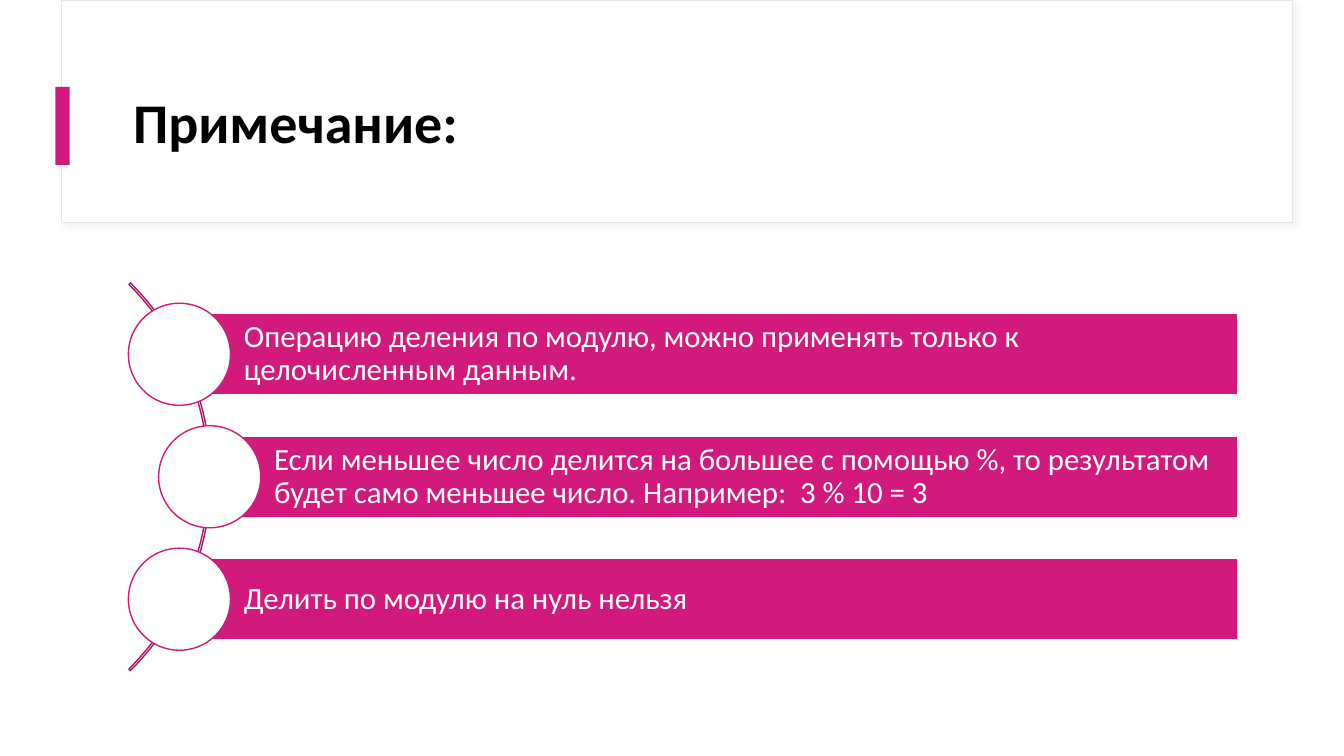
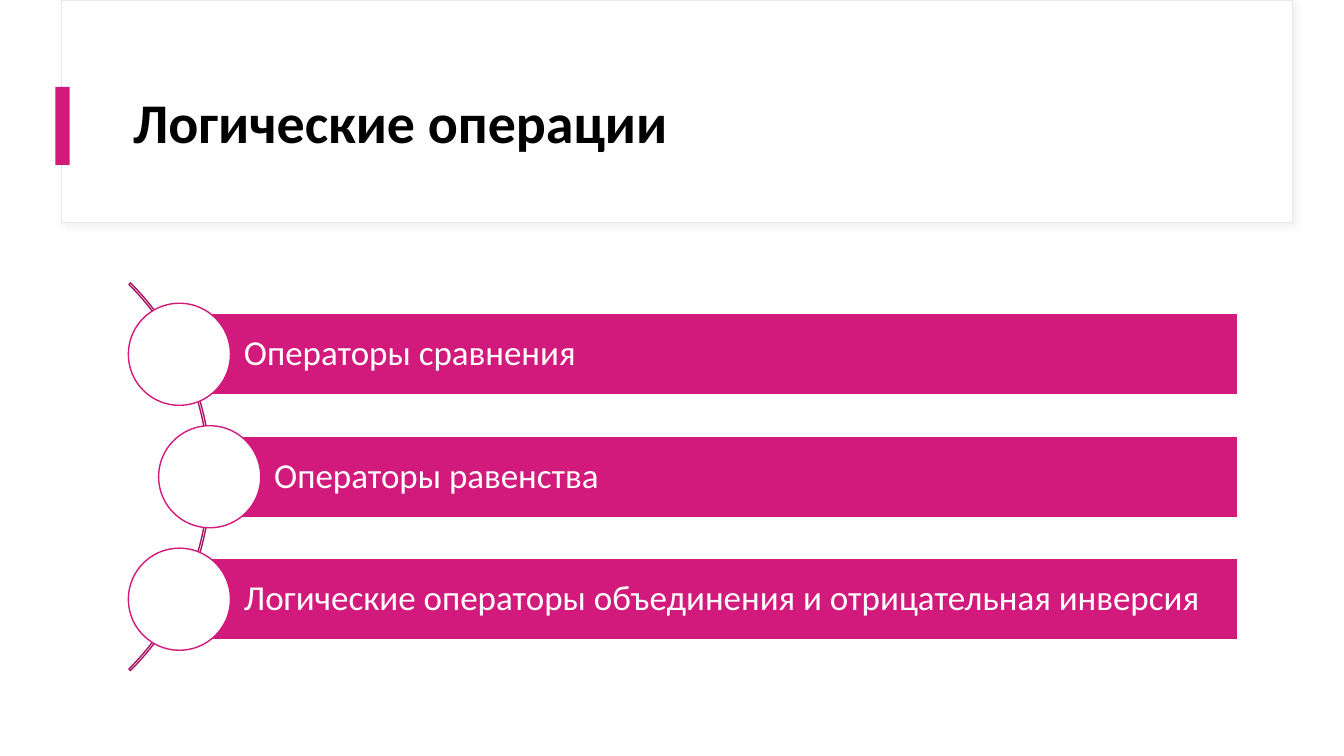
import pptx
import pptx.util
import pptx.dml.color
import pptx.enum.shapes
import pptx.enum.text
import pptx.oxml
import pptx.oxml.ns

Inches, Pt = pptx.util.Inches, pptx.util.Pt
SHAPE = pptx.enum.shapes.MSO_SHAPE
ALIGN = pptx.enum.text.PP_ALIGN
MIDDLE = pptx.enum.text.MSO_ANCHOR.MIDDLE

COLORS = {
    "accent": "D21A7C",
    "arc": "A81563",
    "frame": "E5E5F0",
    "shadow": "D9D9D9",
    "white": "FFFFFF",
    "title": "000000",
}
FONT = "Calibri"
WIDTH, HEIGHT = 13.33, 7.5
BAND_BOX = (0.61, 0, 12.21, 2.21)
TITLE_BOX = (1.22, 0.6, 11.12, 1.29)
LIST_BOX = (1.22, 2.3, 11.12, 4.86)

SLIDES = [
    ("Примечание:", 22, 0.06, [
        "Операцию деления по модулю, можно применять только к целочисленным данным.",
        "Если меньшее число делится на большее с помощью %, то результатом "
        "будет само меньшее число. Например:  3 % 10 = 3",
        "Делить по модулю на нуль нельзя",
    ]),
    ("Логические операции", 25, 0.07, [
        "Операторы сравнения",
        "Операторы равенства",
        "Логические операторы объединения и отрицательная инверсия",
    ]),
]


def rgb(name):
    return pptx.dml.color.RGBColor.from_string(COLORS[name])


def add_shape(slide, kind, box, fill=None, line=None, width=1):
    sp = slide.shapes.add_shape(kind, *map(Inches, box))
    sp.shadow.inherit = False
    if fill:
        sp.fill.solid()
        sp.fill.fore_color.rgb = rgb(fill)
    else:
        sp.fill.background()
    if line:
        sp.line.color.rgb = rgb(line)
        sp.line.width = Pt(width)
    else:
        sp.line.fill.background()
    return sp


def set_text(sp, text, size, color, bold=False):
    tf = sp.text_frame
    tf.text = text
    tf.word_wrap = True
    tf.auto_size = pptx.enum.text.MSO_AUTO_SIZE.NONE
    tf.vertical_anchor = MIDDLE
    p = tf.paragraphs[0]
    p.alignment = ALIGN.LEFT
    p.line_spacing = 0.9
    font = p.runs[0].font
    font.name, font.size, font.bold = FONT, Pt(size), bold
    font.color.rgb = rgb(color)
    return tf


def add_soft_shadow(sp):
    effects = sp.element.spPr.find(pptx.oxml.ns.qn("a:effectLst"))
    effects.append(pptx.oxml.parse_xml(
        f'<a:outerShdw {pptx.oxml.ns.nsdecls("a")} blurRad="{Pt(4)}" dist="{Pt(3)}" '
        f'dir="2700000" algn="tl" rotWithShape="0"><a:srgbClr val="{COLORS["shadow"]}">'
        '<a:alpha val="30000"/></a:srgbClr></a:outerShdw>'))


def add_band(slide, layout, box):
    left, top, width, height = box
    frame = add_shape(slide, SHAPE.RECTANGLE, box, "white", "frame", 0.75)
    add_soft_shadow(frame)
    marker_box = (left - 0.06, top + height * 0.39, 0.14, height * 0.35)
    marker = add_shape(slide, SHAPE.RECTANGLE, marker_box, "accent")
    for number, sp in enumerate((frame, marker), 101):
        sp.element.nvSpPr.cNvPr.set("id", str(number))
        layout.shapes.element.append(sp.element)


def add_title(slide, text, box):
    sp = slide.shapes.title
    sp.left, sp.top, sp.width, sp.height = map(Inches, box)
    set_text(sp, text, 40, "title", bold=True)


def add_curved_list(slide, items, size, inset, box):
    left, top, width, height = box
    pitch = height / (len(items) + 1)
    bar = height / 6
    circle = bar * 1.25
    right = left + width - 0.06
    arc_size = 5.44
    arc = add_shape(slide, SHAPE.BLOCK_ARC,
                    (left + 0.87 - arc_size, top + (height - arc_size) / 2,
                     arc_size, arc_size), line="arc")
    for i, value in enumerate((189, 27, 0.004)):
        arc.adjustments[i] = value
    for i, text in enumerate(items):
        x = left + (0.86 if i % 2 else 0.56)
        y = top + pitch * (i + 1)
        sp = add_shape(slide, SHAPE.RECTANGLE, (x, y - bar / 2, right - x, bar),
                       "accent", "white")
        tf = set_text(sp, text, size, "white")
        tf.margin_left = Inches(0.64)
        tf.margin_top = tf.margin_right = tf.margin_bottom = Inches(inset)
        add_shape(slide, SHAPE.OVAL,
                  (x - circle / 2, y - circle / 2, circle, circle), "white", "accent")


def main():
    prs = pptx.Presentation()
    prs.slide_width, prs.slide_height = Inches(WIDTH), Inches(HEIGHT)
    layout = prs.slide_layouts.get_by_name("Title Only")
    for i, (title, size, inset, items) in enumerate(SLIDES):
        slide = prs.slides.add_slide(layout)
        if i == 0:
            add_band(slide, layout, BAND_BOX)
        add_title(slide, title, TITLE_BOX)
        add_curved_list(slide, items, size, inset, LIST_BOX)
    prs.save("out.pptx")


if __name__ == "__main__":
    main()
